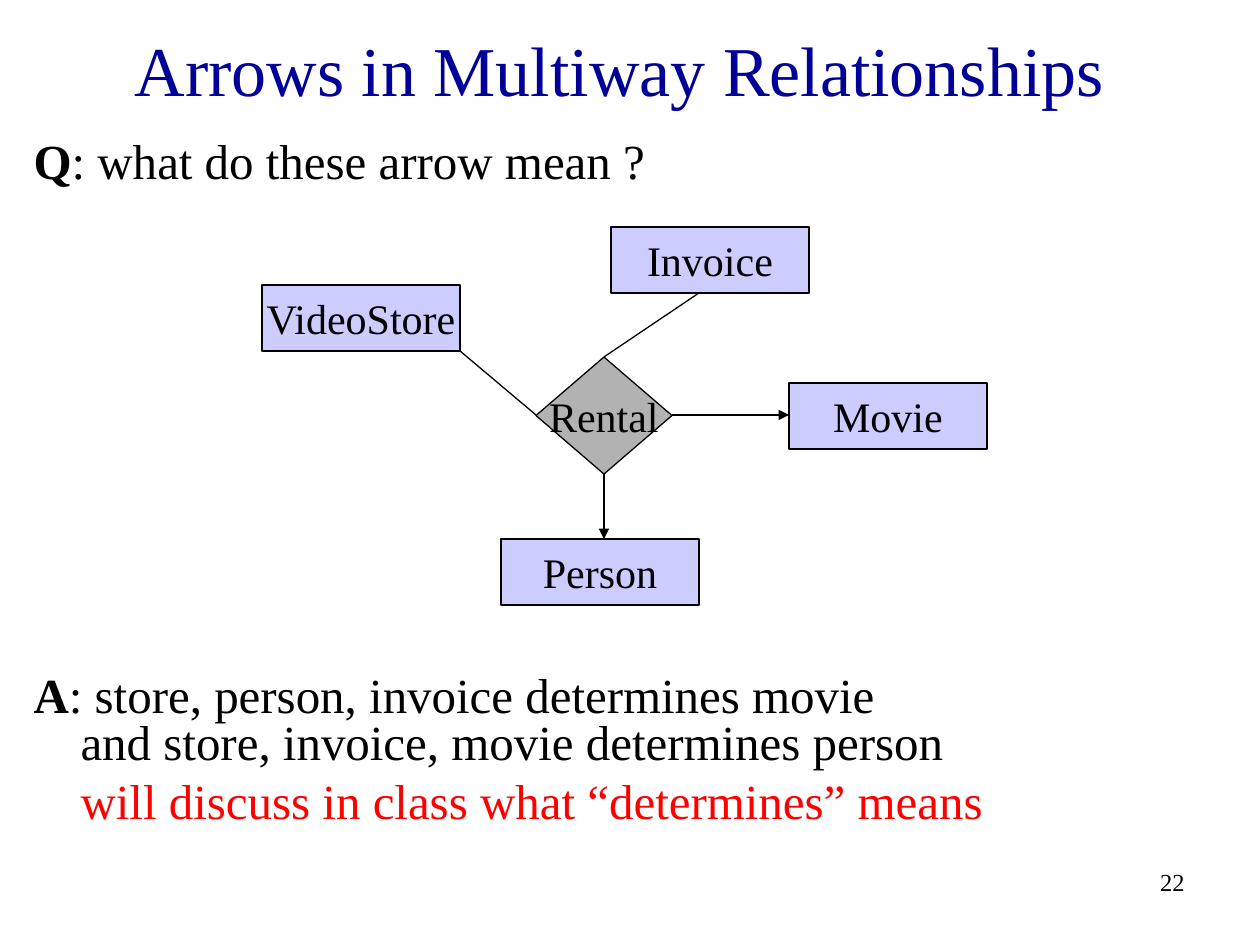
from dataclasses import dataclass

from lxml.etree import SubElement
from pptx import Presentation
from pptx.dml.color import RGBColor
from pptx.enum.shapes import MSO_CONNECTOR, MSO_SHAPE
from pptx.enum.text import MSO_ANCHOR, MSO_AUTO_SIZE, PP_ALIGN
from pptx.oxml.ns import qn
from pptx.util import Pt

EMU_PER_PX = 914400 / 126


@dataclass(frozen=True)
class Theme:
    """Colours, type face and type sizes of the slide."""

    face: str = "Times New Roman"
    ink: str = "000000"
    heading: str = "000099"
    remark: str = "FF0000"
    entity: str = "CCCCFF"
    relationship: str = "B2B2B2"
    title_size: int = 40
    body_size: int = 28
    node_size: int = 24
    number_size: int = 14
    line_width: float = 0.75


THEME = Theme()


def px(length):
    """Turn a length in px into EMU."""
    return round(length * EMU_PER_PX)


def place(shape, box):
    """Move a shape to a box of left, top, width and height."""
    shape.left, shape.top, shape.width, shape.height = map(px, box)


def style(font, size, color):
    """Set face, size and colour of a font."""
    font.name = THEME.face
    font.size = Pt(size)
    font.color.rgb = RGBColor.from_string(color)


def add_title(page, box, text):
    """Fill the title placeholder."""
    title = page.shapes.title
    place(title, box)
    frame = title.text_frame
    frame.text = text
    frame.auto_size = MSO_AUTO_SIZE.NONE
    frame.vertical_anchor = MSO_ANCHOR.MIDDLE
    para = frame.paragraphs[0]
    para.alignment = PP_ALIGN.CENTER
    style(para.runs[0].font, THEME.title_size, THEME.heading)


def add_discussion(page, box):
    """Fill the body placeholder with the question, the answer and a remark."""
    body = page.placeholders[1]
    place(body, box)
    frame = body.text_frame
    frame.auto_size = MSO_AUTO_SIZE.NONE
    hanging = px(47)
    entries = [
        ("Q", ": what do these arrow mean ?", THEME.ink, 0, -hanging),
        ("A", ": store, person, invoice determines movie\vand store, invoice, movie determines person",
         THEME.ink, 278, -hanging),
        ("", "will discuss in class what “determines” means", THEME.remark, 7, 0),
    ]
    for index, (label, text, color, space, indent) in enumerate(entries):
        para = frame.paragraphs[0] if index == 0 else frame.add_paragraph()
        para.text = label + text
        properties = para._p.get_or_add_pPr()
        properties.set("marL", str(hanging))
        properties.set("indent", str(indent))
        para.line_spacing = 0.8
        para.space_before = Pt(space)
        SubElement(properties, qn("a:buNone"))
        if label:
            para.runs[0].text = label
            rest = text.split("\v")
            para.text = label
            para.runs[0].font.bold = True
            for number, line in enumerate(rest):
                if number:
                    para.add_line_break()
                para.add_run().text = line
        for span in para.runs:
            style(span.font, THEME.body_size, color)


def add_node(page, kind, box, text, fill):
    """Draw one labelled shape of the diagram."""
    node = page.shapes.add_shape(kind, *map(px, box))
    node.shadow.inherit = False
    node.fill.solid()
    node.fill.fore_color.rgb = RGBColor.from_string(fill)
    node.line.color.rgb = RGBColor.from_string(THEME.ink)
    node.line.width = Pt(THEME.line_width)
    frame = node.text_frame
    frame.text = text
    frame.word_wrap = False
    frame.vertical_anchor = MSO_ANCHOR.MIDDLE
    frame.paragraphs[0].alignment = PP_ALIGN.CENTER
    style(frame.paragraphs[0].runs[0].font, THEME.node_size, THEME.ink)


def add_link(page, start, end, arrow):
    """Draw a line between two points, with an arrowhead if asked."""
    link = page.shapes.add_connector(MSO_CONNECTOR.STRAIGHT, *map(px, start + end))
    link.line.color.rgb = RGBColor.from_string(THEME.ink)
    link.line.width = Pt(THEME.line_width)
    if arrow:
        SubElement(link.line._get_or_add_ln(), qn("a:tailEnd"), type="triangle")
    SubElement(link._element.spPr, qn("a:effectLst"))


def add_diagram(page, box):
    """Draw the Rental relationship and its four entities."""
    left, top, width, height = box
    node_width, node_height = 198, 66
    entities = {
        "VideoStore": (left, top + 58),
        "Person": (left + 239, top + height - node_height),
        "Movie": (left + width - node_width, top + 156),
        "Invoice": (left + 349, top),
    }
    diamond_left, diamond_top, diamond_width, diamond_height = left + 274, top + 130, 136, 117
    center_x = diamond_left + diamond_width // 2
    center_y = diamond_top + diamond_height // 2
    add_node(page, MSO_SHAPE.DIAMOND, (diamond_left, diamond_top, diamond_width, diamond_height),
             "Rental", THEME.relationship)
    for name, corner in entities.items():
        add_node(page, MSO_SHAPE.RECTANGLE, corner + (node_width, node_height), name, THEME.entity)
    store_x, store_y = entities["VideoStore"]
    invoice_x, invoice_y = entities["Invoice"]
    links = [
        ((diamond_left + diamond_width, center_y), (entities["Movie"][0], center_y), True),
        ((center_x, diamond_top + diamond_height), (center_x, entities["Person"][1]), True),
        ((center_x, diamond_top), (invoice_x + 88, invoice_y + node_height), False),
        ((store_x + node_width, store_y + node_height), (diamond_left, center_y), False),
    ]
    for start, end, arrow in links:
        add_link(page, start, end, arrow)


def add_page_number(page, box, number):
    """Write the page number at the right of its box."""
    frame = page.shapes.add_textbox(*map(px, box)).text_frame
    frame.word_wrap = True
    frame.text = number
    para = frame.paragraphs[0]
    para.alignment = PP_ALIGN.RIGHT
    style(para.runs[0].font, THEME.number_size, THEME.ink)


def main():
    """Build the slide and save it."""
    deck = Presentation()
    deck.slide_width, deck.slide_height = px(1260), px(945)
    page = deck.slides.add_slide(deck.slide_layouts[1])
    add_title(page, (21, 21, 1197, 95), "Arrows in Multiway Relationships")
    add_discussion(page, (21, 136, 1197, 746))
    add_diagram(page, (262, 227, 725, 378))
    add_page_number(page, (935, 861, 262, 63), "22")
    deck.save("out.pptx")


if __name__ == "__main__":
    main()
